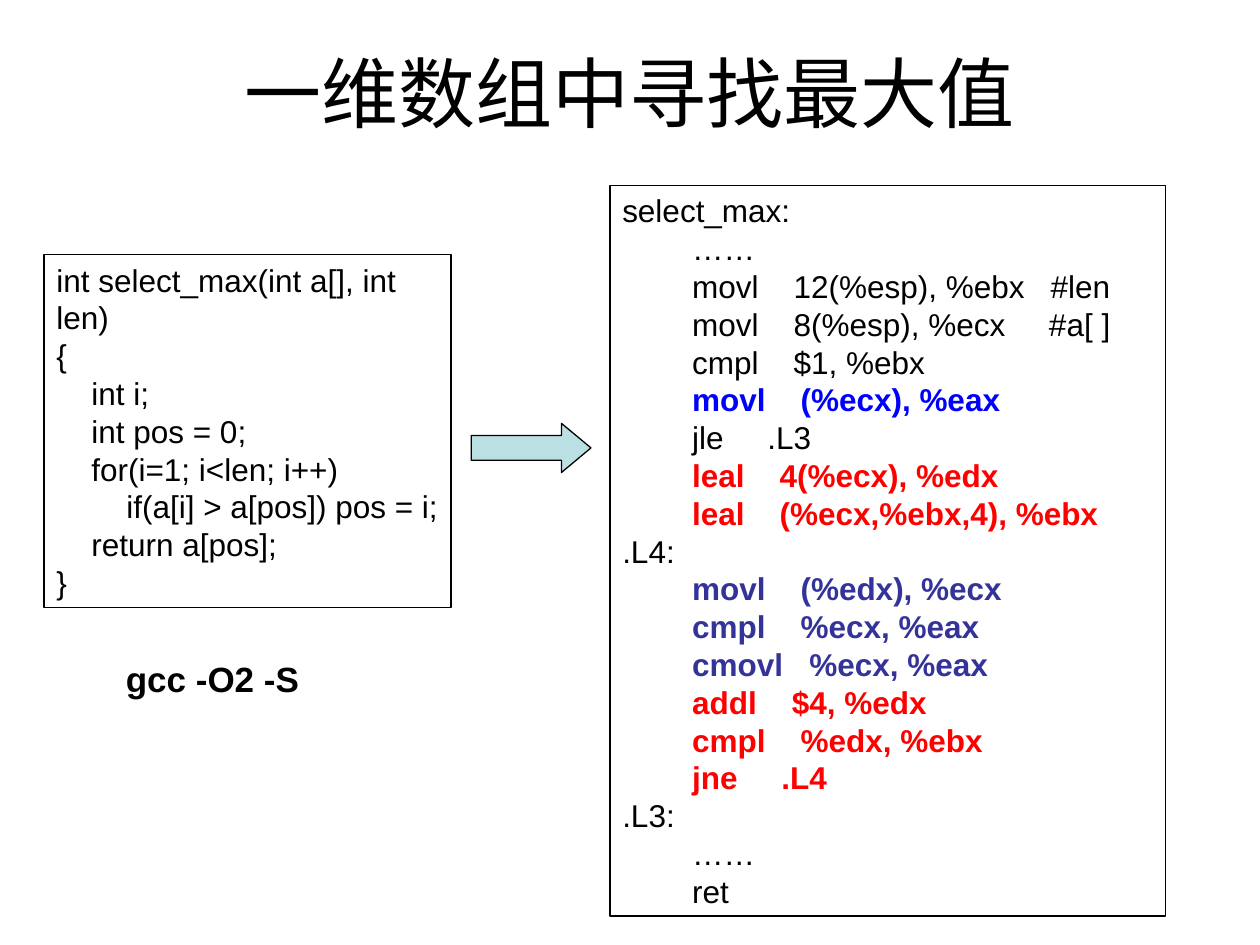
from pptx import Presentation, util as u
from pptx.dml.color import RGBColor
from pptx.enum import shapes, text

COLORS = {
    "black": "000000",
    "blue": "0000FF",
    "red": "FF0000",
    "indigo": "333399",
    "arrow": "BBE0E3",
}

SOURCE_CODE = """int select_max(int a[], int len)
{
    int i;
    int pos = 0;
    for(i=1; i<len; i++)
        if(a[i] > a[pos]) pos = i;
    return a[pos];
}"""

ASSEMBLY = [
    ("black", """select_max:
        ……
        movl    12(%esp), %ebx   #len
        movl    8(%esp), %ecx     #a[ ]
        cmpl    $1, %ebx"""),
    ("blue", "        movl    (%ecx), %eax"),
    ("black", "        jle     .L3"),
    ("red", """        leal    4(%ecx), %edx
        leal    (%ecx,%ebx,4), %ebx"""),
    ("black", ".L4:"),
    ("indigo", """        movl    (%edx), %ecx
        cmpl    %ecx, %eax
        cmovl   %ecx, %eax"""),
    ("red", """        addl    $4, %edx
        cmpl    %edx, %ebx
        jne     .L4"""),
    ("black", """.L3:
        ……
        ret"""),
]


def color(name):
    """Return the named colour."""
    return RGBColor.from_string(COLORS[name])


def inches(box):
    """Convert left, top, width and height to lengths."""
    return [u.Inches(value) for value in box]


def outline(shape):
    """Give a shape a thin black line."""
    shape.line.color.rgb = color("black")
    shape.line.width = u.Pt(0.75)


def style(para, size, name="black", bold=False):
    """Set the font of a paragraph."""
    font = para.font
    font.name = "Arial"
    font.size = u.Pt(size)
    font.bold = bold
    font.color.rgb = color(name)


def add_label(page, box, words, size, bold=False, align=text.PP_ALIGN.LEFT,
              anchor=text.MSO_ANCHOR.TOP):
    """Place one line of text in a box."""
    frame = page.shapes.add_textbox(*inches(box)).text_frame
    frame.word_wrap = True
    frame.vertical_anchor = anchor
    para = frame.paragraphs[0]
    para.text = words
    para.alignment = align
    style(para, size, bold=bold)


def add_code(page, box, blocks):
    """Place a framed listing whose coloured blocks are bold."""
    panel = page.shapes.add_textbox(*inches(box))
    outline(panel)
    frame = panel.text_frame
    frame.word_wrap = True
    lines = [(name, line) for name, block in blocks for line in block.split("\n")]
    for index, (name, line) in enumerate(lines):
        para = frame.add_paragraph() if index else frame.paragraphs[0]
        para.text = line
        style(para, 18, name, name != "black")


def add_arrow(page, box):
    """Place the block arrow between the listings."""
    arrow = page.shapes.add_shape(shapes.MSO_SHAPE.RIGHT_ARROW, *inches(box))
    arrow.shadow.inherit = False
    arrow.adjustments[1] = 0.6
    arrow.fill.solid()
    arrow.fill.fore_color.rgb = color("arrow")
    outline(arrow)


def main():
    """Build and save the slide."""
    deck = Presentation()
    deck.slide_width, deck.slide_height = u.Inches(10), u.Inches(7.5)
    page = deck.slides.add_slide(deck.slide_layouts[6])
    add_label(page, (0.5, 0.3, 9, 0.85), "一维数组中寻找最大值", 44,
              align=text.PP_ALIGN.CENTER, anchor=text.MSO_ANCHOR.MIDDLE)
    add_code(page, (4.84, 1.47, 4.41, 5.8), ASSEMBLY)
    add_code(page, (0.35, 2.02, 3.23, 2.8), [("black", SOURCE_CODE)])
    add_label(page, (0.9, 5.17, 1.89, 0.44), "gcc -O2 -S", 20, bold=True)
    add_arrow(page, (3.74, 3.36, 0.95, 0.39))
    deck.save("out.pptx")


if __name__ == "__main__":
    main()
